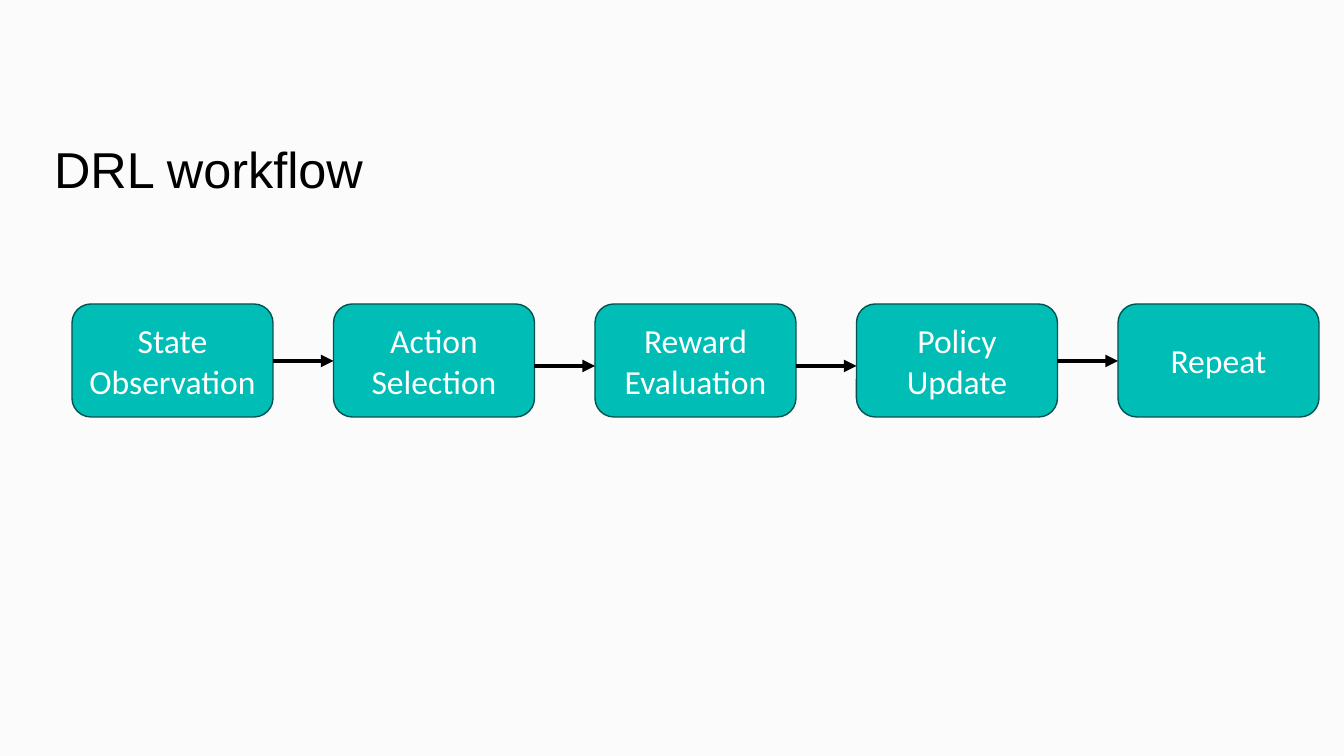
from lxml.etree import SubElement
from pptx import Presentation
from pptx.dml.color import RGBColor as RGB
from pptx.enum.shapes import MSO_CONNECTOR as LINE, MSO_SHAPE as SHAPE
from pptx.enum.text import MSO_ANCHOR as ANCHOR, PP_ALIGN as ALIGN
from pptx.oxml.ns import qn
from pptx.util import Emu, Pt

COLORS = {"page": "FBFBFB", "text": "000000", "step": "00BDB6",
          "edge": "005350", "label": "FFFFFF"}
STEPS = ["State Observation", "Action Selection", "Reward Evaluation",
         "Policy Update", "Repeat"]
# Drop of each arrow below the row's top
DROPS = [57, 62, 62, 57]


def px(num):
    return Emu(round(num * 914400 / 100.8))


def color(name):
    return RGB.from_string(COLORS[name])


def style(para, face, size, name):
    for run in para.runs:
        run.font.name = face
        run.font.size = Pt(size)
        run.font.color.rgb = color(name)


def add_title(slide, left, top, width, height):
    frame = slide.shapes.add_textbox(*map(px, (left, top, width, height))).text_frame
    frame.word_wrap = True
    frame.vertical_anchor = ANCHOR.TOP
    frame.margin_left = frame.margin_right = px(8)
    frame.margin_top = frame.margin_bottom = px(4)
    frame.text = "DRL workflow"
    style(frame.paragraphs[0], "Arial", 36, "text")


def add_step(slide, label, left, top, width, height):
    box = slide.shapes.add_shape(SHAPE.ROUNDED_RECTANGLE,
                                 *map(px, (left, top, width, height)))
    box.shadow.inherit = False
    box.fill.solid()
    box.fill.fore_color.rgb = color("step")
    box.line.color.rgb = color("edge")
    box.line.width = Pt(1)
    frame = box.text_frame
    frame.word_wrap = True
    frame.vertical_anchor = ANCHOR.MIDDLE
    frame.text = label
    para = frame.paragraphs[0]
    para.alignment = ALIGN.CENTER
    style(para, "Calibri", 24, "label")


def add_arrow(slide, start, end, y):
    arrow = slide.shapes.add_connector(LINE.STRAIGHT, *map(px, (start, y, end, y)))
    arrow.line.color.rgb = color("text")
    arrow.line.width = Pt(3)
    SubElement(arrow.line._get_or_add_ln(), qn("a:tailEnd"), type="triangle")
    SubElement(arrow._element.spPr, qn("a:effectLst"))


def add_flow(slide, left, top, width, height):
    """Spread the steps evenly over the box and join them with arrows."""
    size = 201
    pitch = (width - size) / (len(STEPS) - 1)
    for i, label in enumerate(STEPS):
        add_step(slide, label, left + i * pitch, top, size, height)
    for i, drop in enumerate(DROPS):
        start = left + i * pitch + size
        add_arrow(slide, start, left + (i + 1) * pitch, top + drop)


def main():
    deck = Presentation()
    deck.slide_width, deck.slide_height = px(1344), px(756)
    slide = deck.slides.add_slide(deck.slide_layouts[6])
    slide.background.fill.solid()
    slide.background.fill.fore_color.rgb = color("page")
    add_title(slide, 46, 134, 1206, 50)
    add_flow(slide, 72, 304, 1247, 113)
    deck.save("out.pptx")


if __name__ == "__main__":
    main()
